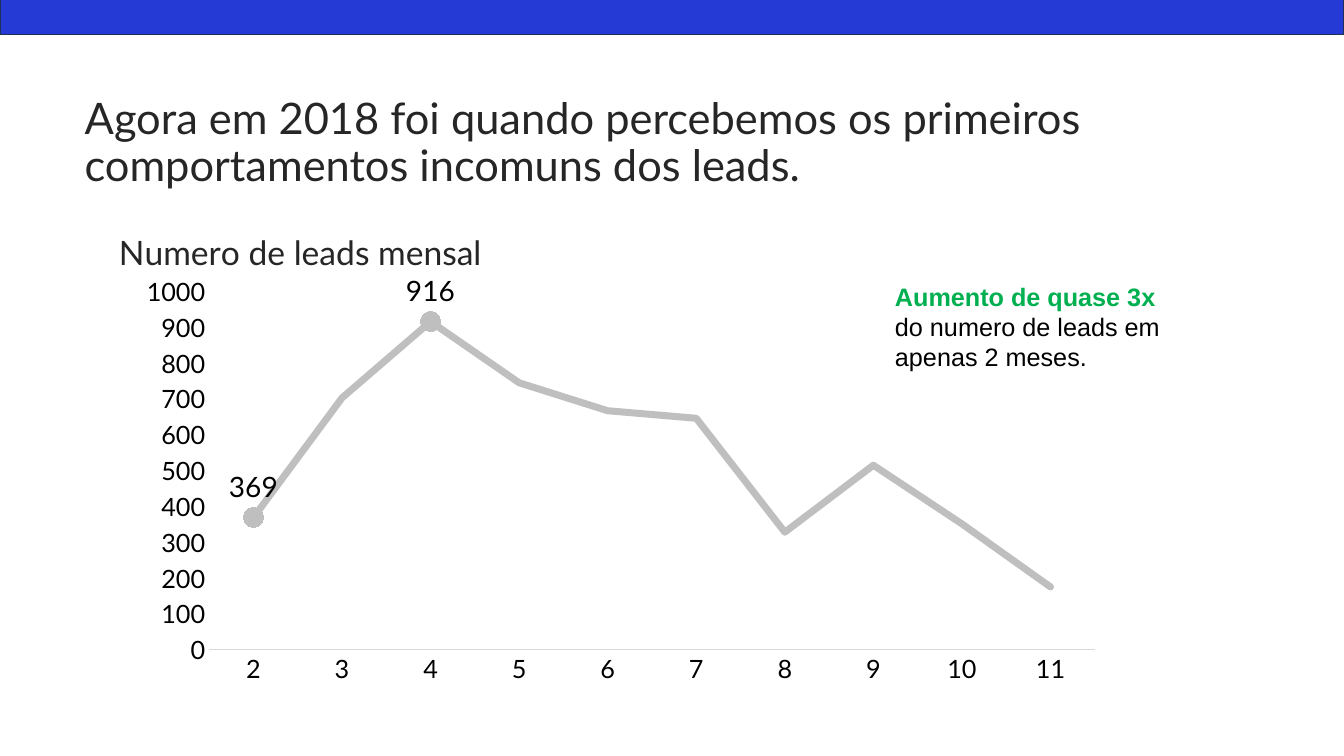
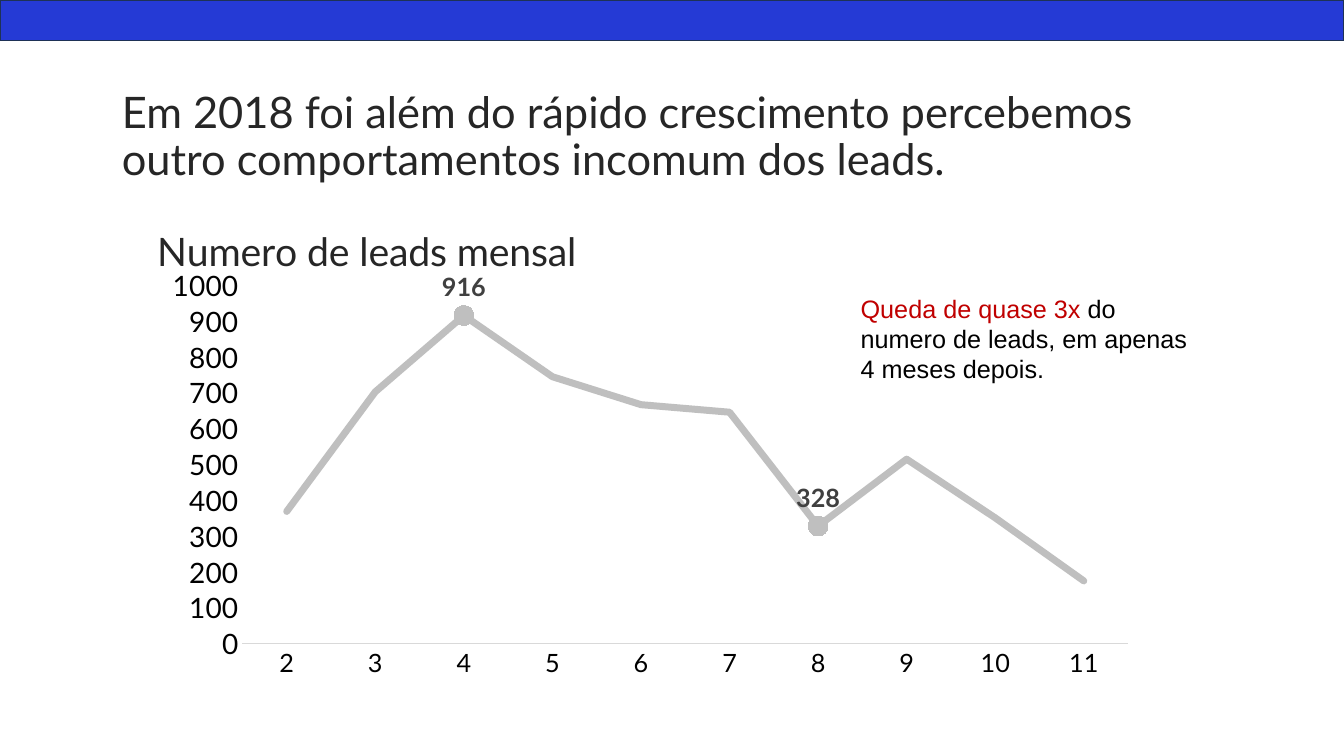
from lxml.etree import SubElement
from pptx import Presentation
from pptx.chart.data import CategoryChartData
from pptx.dml.color import RGBColor
from pptx.enum.chart import XL_CHART_TYPE, XL_LABEL_POSITION, XL_MARKER_STYLE, XL_TICK_MARK
from pptx.enum.shapes import MSO_SHAPE
from pptx.enum.text import MSO_ANCHOR, MSO_AUTO_SIZE, PP_ALIGN
from pptx.oxml import parse_xml
from pptx.oxml.ns import nsdecls, qn
from pptx.util import Inches, Pt

COLORS = {
    "band": "253AD5", "band_line": "1E3256", "heading": "262626", "text": "000000",
    "leads": "BFBFBF", "axis": "D9D9D9", "label": "404040", "rise": "00B050", "fall": "C00000",
}
MONTHS = [str(month) for month in range(2, 12)]
LEADS = [369, 703, 916, 745, 667, 646, 328, 515, 351, 175]

SLIDES = [
    {
        "title": "Agora em 2018 foi quando percebemos os primeiros comportamentos incomuns dos leads.",
        "origin": (5.55, 9.33), "band_top": -0.8,
        "note": [("Aumento de quase 3x ", "rise", True),
                 ("do numero de leads em apenas 2 meses.", "text", False)],
        "note_place": (65.85, 36.53, 21.6, 13.47),
        "chart_title_size": 24, "value_size": 18, "plot_left": 0.097,
        "marked": (0, 2), "label_font": (20, "text", False),
    },
    {
        "title": "Em 2018 foi além do rápido crescimento percebemos outro comportamentos incomum dos leads.",
        "origin": (8.32, 8.53), "band_top": 0,
        "note": [("Queda de quase 3x", "fall", False),
                 (" do numero de leads, em apenas 4 meses depois.", "text", False)],
        "note_place": (63.3, 38.13, 26.55, 13.47),
        "chart_title_size": 28, "value_size": 20, "plot_left": 0.093,
        "marked": (2, 6), "label_font": (18, "label", True),
    },
]

deck = Presentation()
deck.slide_width, deck.slide_height = Inches(13.33), Inches(7.5)
column, row = deck.slide_width / 100, deck.slide_height / 100


def place(left, top, width, height):
    return round(left * column), round(top * row), round(width * column), round(height * row)


def set_font(font, name, size, color, bold=False):
    font.name, font.size, font.bold = name, Pt(size), bold
    font.color.rgb = RGBColor.from_string(COLORS[color])


for content in SLIDES:
    page = deck.slides.add_slide(deck.slide_layouts[5])
    left, top = content["origin"]
    title_height = 19.33

    title = page.shapes.title
    title.left, title.top, title.width, title.height = place(left, top, 79.65, title_height)
    title.text_frame.text = content["title"]
    title.text_frame.auto_size = MSO_AUTO_SIZE.NONE
    title.text_frame.vertical_anchor = MSO_ANCHOR.MIDDLE
    para = title.text_frame.paragraphs[0]
    para.alignment, para.line_spacing = PP_ALIGN.LEFT, 0.9
    set_font(para.font, "Lato", 31, "heading")

    note = page.shapes.add_textbox(*place(*content["note_place"]))
    note.text_frame.word_wrap = True
    note.text_frame.auto_size = MSO_AUTO_SIZE.SHAPE_TO_FIT_TEXT
    for text, color, bold in content["note"]:
        span = note.text_frame.paragraphs[0].add_run()
        span.text = text
        set_font(span.font, "Arial", 18, color, bold)

    chart_data = CategoryChartData()
    chart_data.categories = MONTHS
    chart_data.add_series("Series 1", LEADS)
    chart = page.shapes.add_chart(
        XL_CHART_TYPE.LINE, *place(left + 2.85, top + title_height, 73.88, 66), chart_data).chart
    set_font(chart.font, "Calibri", 10, "text")
    chart.has_legend = False
    chart.plots[0].vary_by_categories = False

    chart.has_title = True
    chart_title = chart.chart_title
    chart_title.text_frame.text = "Numero de leads mensal"
    set_font(chart_title.text_frame.paragraphs[0].runs[0].font,
             "Lato", content["chart_title_size"], "heading")
    chart_title.include_in_layout = False

    title_layout = {"xMode": "edge", "yMode": "edge", "x": 0, "y": 0.01}
    plot_layout = {"layoutTarget": "inner", "xMode": "edge", "yMode": "edge",
                   "x": content["plot_left"], "y": 0.15, "w": 0.892, "h": 0.718}
    plot_area = chart.plots[0]._element.getparent()
    for parent, position, settings in (
            (chart_title._element, 1, title_layout), (plot_area, 0, plot_layout)):
        for old_layout in parent.findall(qn("c:layout")):
            parent.remove(old_layout)
        layout = parse_xml(f"<c:layout {nsdecls('c')}><c:manualLayout/></c:layout>")
        for name, value in settings.items():
            SubElement(layout[0], qn(f"c:{name}")).set("val", str(value))
        parent.insert(position, layout)

    months, values = chart.category_axis, chart.value_axis
    for axis, size in ((months, 18), (values, content["value_size"])):
        axis.major_tick_mark = axis.minor_tick_mark = XL_TICK_MARK.NONE
        axis.has_major_gridlines = False
        set_font(axis.tick_labels.font, "Lato", size, "text")
    months.format.line.color.rgb = RGBColor.from_string(COLORS["axis"])
    months.format.line.width = Pt(0.75)
    values.format.line.fill.background()
    values.minimum_scale, values.maximum_scale, values.major_unit = 0, 1000, 100

    series = chart.plots[0].series[0]
    series.smooth = False
    series.marker.style = XL_MARKER_STYLE.NONE
    series.data_labels.show_value = False
    points = [series.points[index] for index in content["marked"]]
    for part in (series, *points):
        part.format.line.color.rgb = RGBColor.from_string(COLORS["leads"])
        part.format.line.width = Pt(5)
    for point in points:
        point.marker.style, point.marker.size = XL_MARKER_STYLE.CIRCLE, 14
        for paint in (point.marker.format.fill, point.marker.format.line.fill):
            paint.solid()
            paint.fore_color.rgb = RGBColor.from_string(COLORS["leads"])
        set_font(point.data_label.font, "Lato", *content["label_font"])
        point.data_label.position = XL_LABEL_POSITION.ABOVE
    for line in series._element.findall(f".//{qn('a:ln')}"):
        line.set("cap", "rnd")

    band = page.shapes.add_shape(MSO_SHAPE.RECTANGLE, *place(0, content["band_top"], 100, 5.33))
    band.shadow.inherit = False
    band.fill.solid()
    band.fill.fore_color.rgb = RGBColor.from_string(COLORS["band"])
    band.line.color.rgb = RGBColor.from_string(COLORS["band_line"])
    band.line.width = Pt(1)

deck.save("out.pptx")
